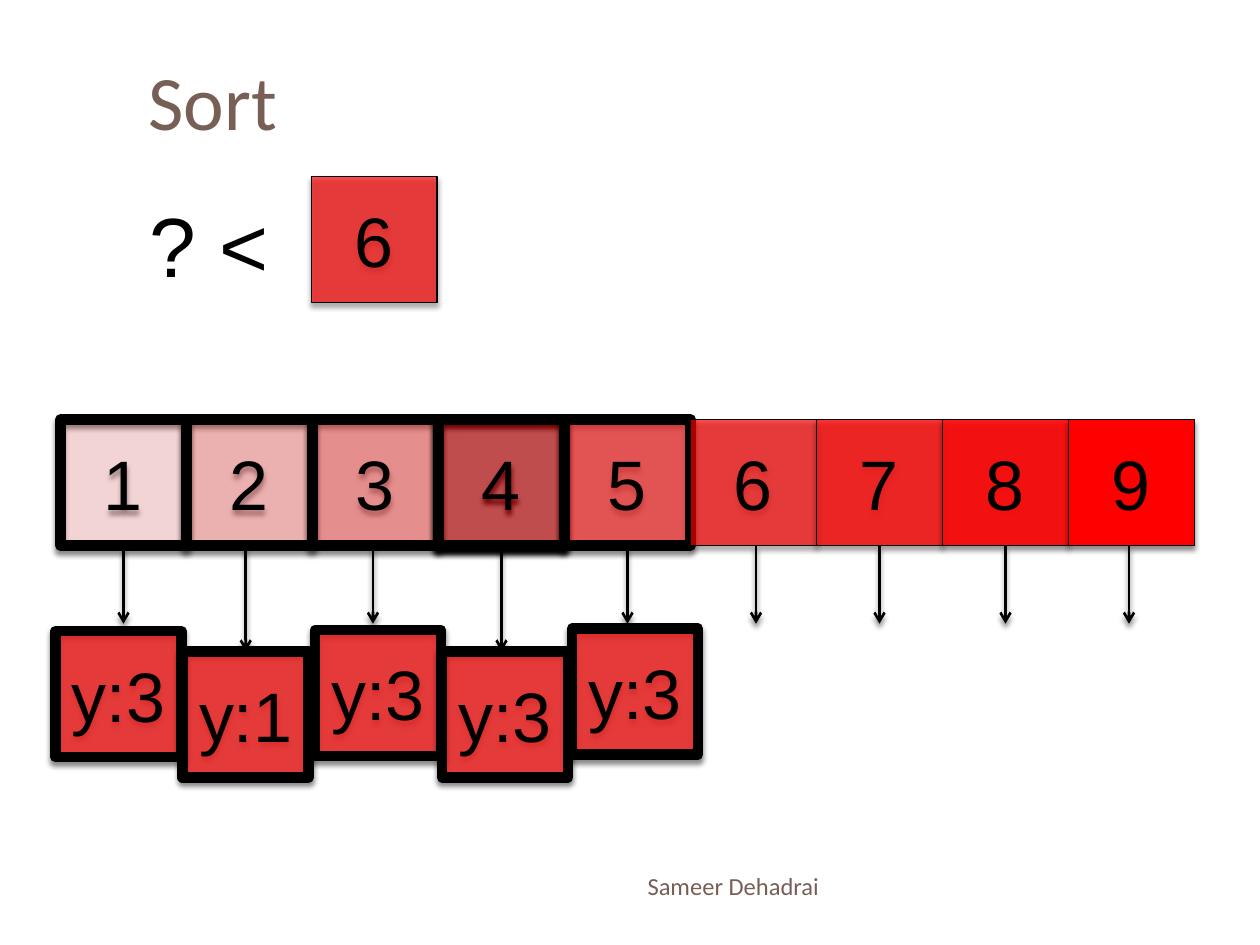
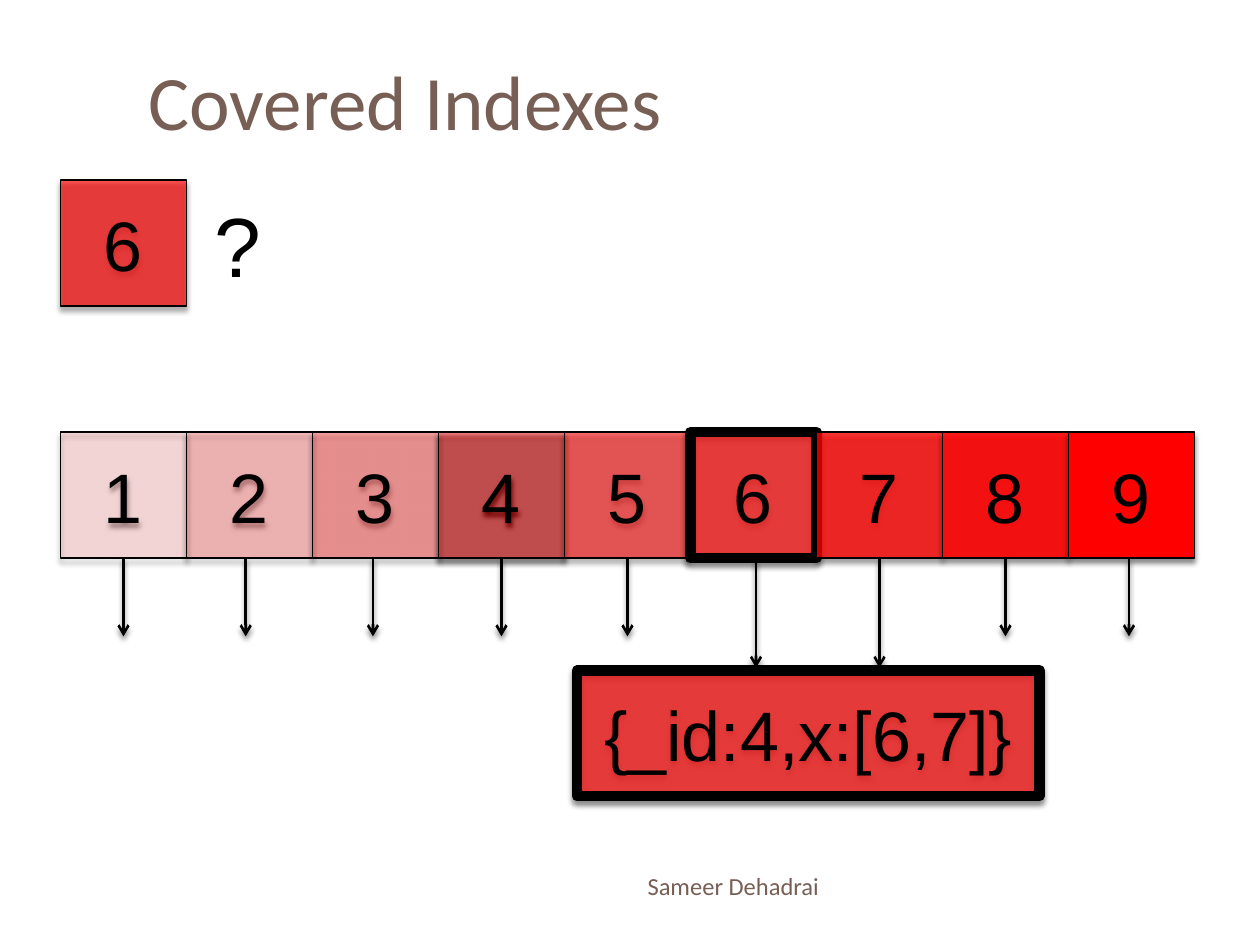
"""Build two slides on index lookups: sorting and covered indexes."""
from lxml.etree import SubElement
from pptx import Presentation
from pptx.dml.color import RGBColor
from pptx.enum.shapes import MSO_CONNECTOR as Connector, MSO_SHAPE as Shape
from pptx.enum.text import MSO_ANCHOR as Anchor, MSO_AUTO_SIZE as AutoSize, PP_ALIGN as Align
from pptx.oxml.ns import qn
from pptx.util import Pt

PX = 9144
COLORS = {"key": "FF0000", "ink": "000000", "heading": "775F55"}
INK = RGBColor.from_string(COLORS["ink"])
CELL = 100
ROW_LEFT = 48
THIN, THICK = 0.75, 6
POINTER_XS = [98, 195, 296, 398, 498, 600, 698, 798, 896]
POINTER_LENGTH = 62

SLIDES = [
    {
        "title": "Sort", "row_top": 333, "found": range(1, 6),
        "query": (247, 140), "operator": ("? <", 109, 116),
        "long_pointers": (2, 4), "long_tip": 517,
        "documents": [("y:3", 44, 501, 100), ("y:1", 145, 517, 100), ("y:3", 250, 500, 100),
                      ("y:3", 351, 517, 100), ("y:3", 454, 499, 100)],
    },
    {
        "title": "Covered Indexes", "row_top": 343, "found": [6],
        "query": (48, 143), "operator": ("?", 160, 58),
        "long_pointers": (6, 7), "long_tip": 530,
        "documents": [("{_id:4,x:[6,7]}", 458, 532, 367)],
    },
]


def cast_shadow(item):
    effects = SubElement(item._element.spPr, qn("a:effectLst"))
    shadow = SubElement(effects, qn("a:outerShdw"), blurRad="38100", dist="30000",
                        dir="5400000", rotWithShape="0")
    tint = SubElement(shadow, qn("a:srgbClr"), val=COLORS["ink"])
    SubElement(tint, qn("a:alpha"), val="45000")


def add_key(slide, label, left, top, width, number, border):
    key = slide.shapes.add_shape(Shape.RECTANGLE, left * PX, top * PX, width * PX, CELL * PX)
    key.fill.solid()
    key.fill.fore_color.rgb = RGBColor.from_string(COLORS["key"])
    tint = key._element.spPr.find(qn("a:solidFill")).find(qn("a:srgbClr"))
    SubElement(tint, qn("a:alpha"), val=str((1 + 11 * number) * 1000))
    key.line.color.rgb = INK
    key.line.width = Pt(border)
    cast_shadow(key)
    key.text_frame.vertical_anchor = Anchor.MIDDLE
    paragraph = key.text_frame.paragraphs[0]
    paragraph.text = label
    paragraph.alignment = Align.CENTER
    paragraph.font.size = Pt(40)
    paragraph.font.name = "Arial"
    paragraph.font.color.rgb = INK
    return key


deck = Presentation()
deck.slide_width = 1000 * PX
deck.slide_height = 750 * PX

for content in SLIDES:
    slide = deck.slides.add_slide(deck.slide_layouts[6])
    row_top = content["row_top"]
    row_bottom = row_top + CELL

    operator, operator_left, operator_width = content["operator"]
    captions = [
        (content["title"], 108, 25, 892, 108, 44, "Calibri", "heading", Align.LEFT, Anchor.MIDDLE),
        (operator, operator_left, 149, operator_width, 91, 48, "Arial", "ink", Align.LEFT, Anchor.TOP),
        ("Sameer Dehadrai", 67, 683, 593, 40, 14, "Calibri", "heading", Align.RIGHT, Anchor.MIDDLE),
    ]
    for text, left, top, width, height, size, font, color, align, anchor in captions:
        caption = slide.shapes.add_textbox(left * PX, top * PX, width * PX, height * PX)
        frame = caption.text_frame
        frame.word_wrap = text != operator
        frame.auto_size = AutoSize.SHAPE_TO_FIT_TEXT if text == operator else AutoSize.NONE
        frame.vertical_anchor = anchor
        paragraph = frame.paragraphs[0]
        paragraph.text = text
        paragraph.alignment = align
        paragraph.font.size = Pt(size)
        paragraph.font.name = font
        paragraph.font.color.rgb = RGBColor.from_string(COLORS[color])

    index_keys = []
    for number in range(1, 10):
        border = THICK if number in content["found"] else THIN
        left = ROW_LEFT + CELL * (number - 1)
        index_keys.append(add_key(slide, str(number), left, row_top, CELL, number, border))
    add_key(slide, "6", *content["query"], CELL, 6, THIN)

    pointers = []
    for number, (x, index_key) in enumerate(zip(POINTER_XS, index_keys), start=1):
        tip = content["long_tip"] if number in content["long_pointers"] else row_bottom + POINTER_LENGTH
        pointer = slide.shapes.add_connector(Connector.STRAIGHT, x * PX, row_bottom * PX, x * PX, tip * PX)
        if x == ROW_LEFT + CELL * (number - 1) + CELL // 2:
            pointer.begin_connect(index_key, 2)
        pointer.line.color.rgb = INK
        pointer.line.width = Pt(1.5)
        SubElement(pointer._element.spPr.find(qn("a:ln")), qn("a:tailEnd"), type="arrow")
        cast_shadow(pointer)
        pointers.append((pointer, x, tip))

    for label, left, top, width in content["documents"]:
        document = add_key(slide, label, left, top, width, 6, THICK)
        for pointer, x, tip in pointers:
            if (x, tip) == (left + width // 2, top):
                pointer.end_connect(document, 0)

deck.save("out.pptx")
